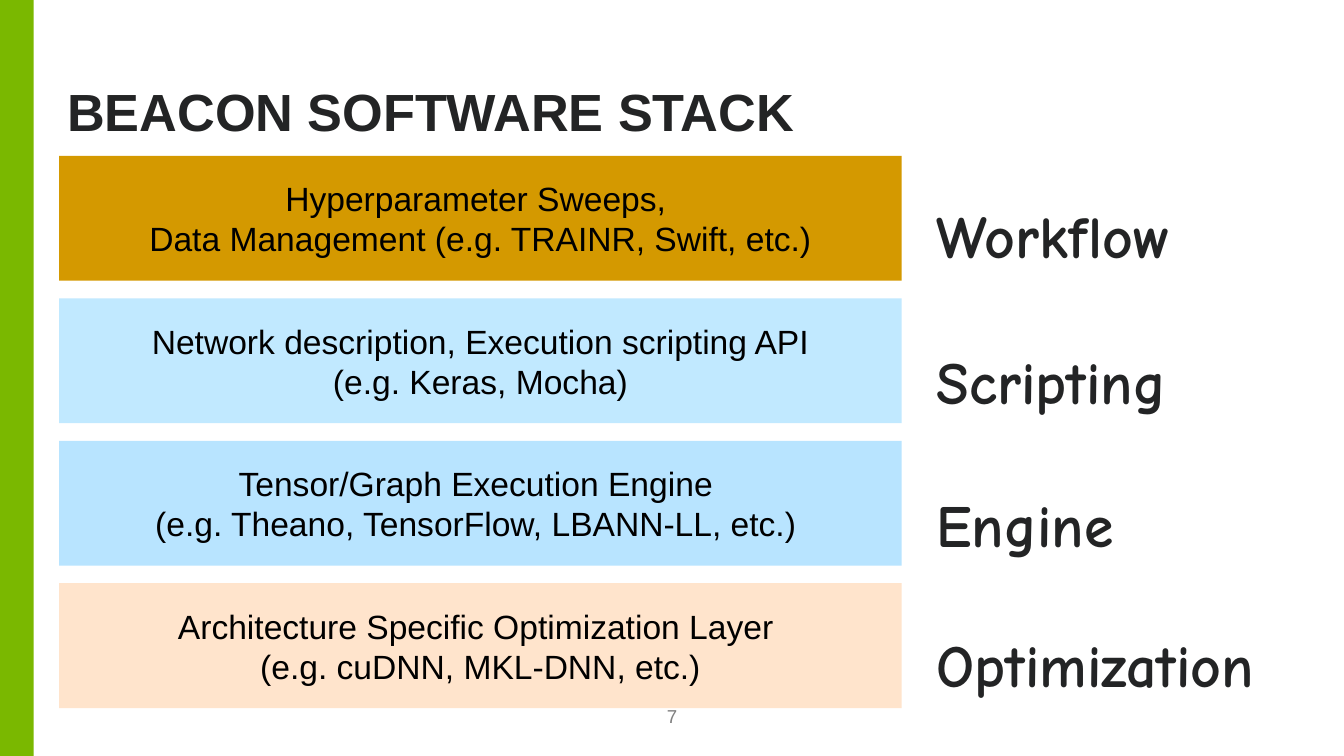
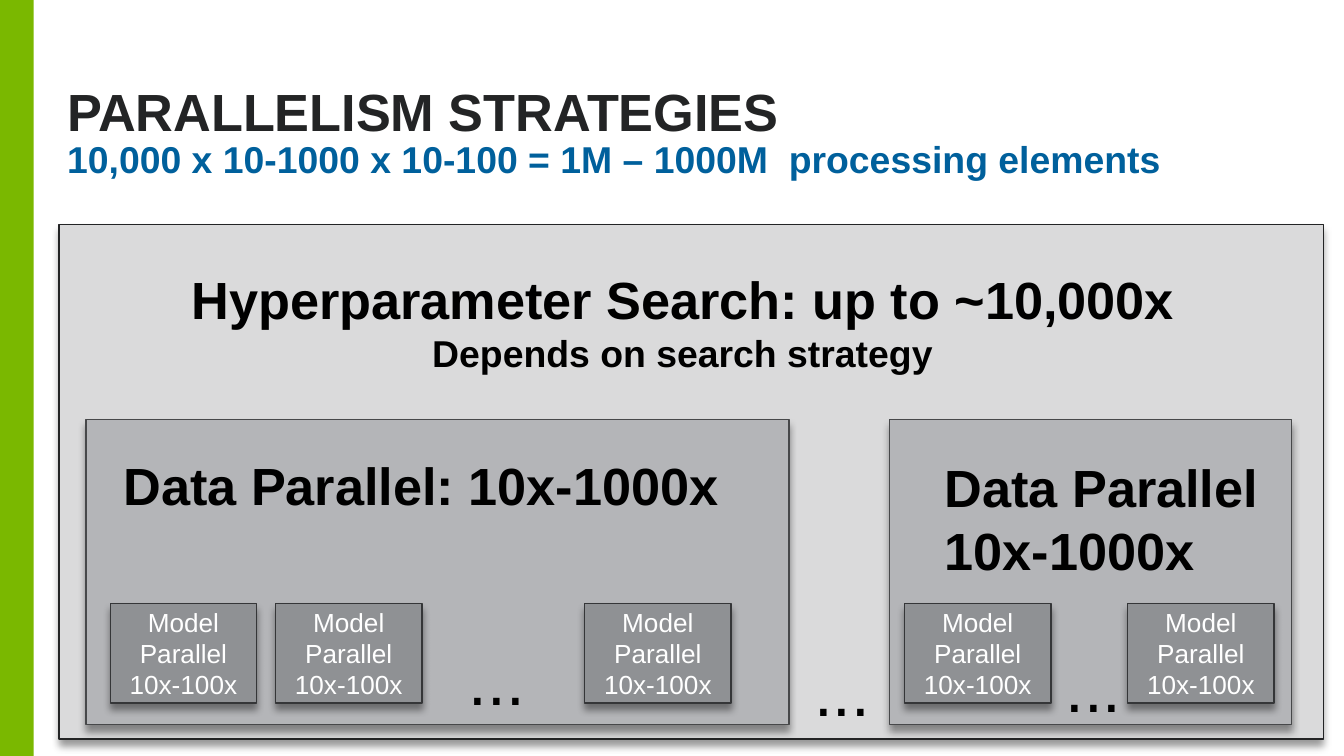
from lxml.etree import SubElement
from pptx import Presentation
from pptx.dml.color import RGBColor
from pptx.enum.shapes import MSO_SHAPE
from pptx.enum.text import MSO_ANCHOR, MSO_AUTO_SIZE, PP_ALIGN
from pptx.oxml.ns import qn
from pptx.util import Inches, Pt

GREEN = "7AB800"
INK = "232425"
BLUE = "00609C"
BLACK = "000000"
WHITE = "FFFFFF"
GREY = "808080"
BODY_FONT = "Arial"
LABEL_FONT = "Comic Neue"

# Fill and line of each nesting level of parallelism
SEARCH_STYLE = ("DADADB", INK)
DATA_STYLE = ("B4B5B8", "47484A")
MODEL_STYLE = ("8F9194", "353638")

# Text, fill, label, top and width of the label for each layer
LAYERS = [
    ("Hyperparameter Sweeps, \nData Management (e.g. TRAINR, Swift, etc.)",
     "D49900", "Workflow", 1.43, 2.21),
    ("Network description, Execution scripting API\n(e.g. Keras, Mocha)",
     "C1E9FF", "Scripting", 2.52, 2.14),
    ("Tensor/Graph Execution Engine \n(e.g. Theano, TensorFlow, LBANN-LL, etc.) ",
     "B8E4FF", "Engine", 3.58, 1.7),
    ("Architecture Specific Optimization Layer \n(e.g. cuDNN, MKL-DNN, etc.)",
     "FFE4CC", "Optimization", 4.62, 2.92),
]
LAYER_TOP, LAYER_PITCH = 1.16, 1.06


def color(hex_code):
    return RGBColor.from_string(hex_code)


def write(shape, text, size, hex_code, font=BODY_FONT, bold=False,
          align=PP_ALIGN.LEFT, spacing=None):
    frame = shape.text_frame
    frame.text = text
    for para in frame.paragraphs:
        para.alignment = align
        if spacing:
            para.line_spacing = spacing
        for span in para.runs:
            span.font.name = font
            span.font.size = Pt(size)
            span.font.bold = bold
            span.font.color.rgb = color(hex_code)


def add_block(slide, left, top, width, height, fill, line=None):
    block = slide.shapes.add_shape(MSO_SHAPE.RECTANGLE, Inches(left), Inches(top),
                                   Inches(width), Inches(height))
    block.shadow.inherit = False
    block.fill.solid()
    block.fill.fore_color.rgb = color(fill)
    if line:
        block.line.color.rgb = color(line)
        block.line.width = Pt(0.75)
    else:
        block.line.fill.background()
    block.text_frame.vertical_anchor = MSO_ANCHOR.MIDDLE
    return block


def add_raised_block(slide, left, top, width, height, style):
    """Add an outlined block with a soft shadow below it."""
    block = add_block(slide, left, top, width, height, *style)
    effects = block.element.spPr.find(qn("a:effectLst"))
    shadow = SubElement(effects, qn("a:outerShdw"), blurRad=str(Pt(4)),
                        dist=str(Pt(3.4)), dir="5400000", rotWithShape="0")
    tint = SubElement(shadow, qn("a:srgbClr"), val=BLACK)
    SubElement(tint, qn("a:alpha"), val="40000")
    return block


def add_text_box(slide, left, top, width, height):
    return slide.shapes.add_textbox(Inches(left), Inches(top),
                                    Inches(width), Inches(height))


def add_fixed_text(slide, left, top, width, height, text, size, hex_code,
                   anchor=MSO_ANCHOR.BOTTOM, bottom=0, **style):
    """Add wrapped text without side margins."""
    box = add_text_box(slide, left, top, width, height)
    frame = box.text_frame
    frame.word_wrap = True
    frame.vertical_anchor = anchor
    frame.margin_left = frame.margin_right = frame.margin_top = 0
    frame.margin_bottom = Inches(bottom)
    write(box, text, size, hex_code, **style)


def add_label(slide, left, top, width, height, text, size, hex_code=BLACK, **style):
    """Add unwrapped text whose box grows with it."""
    box = add_text_box(slide, left, top, width, height)
    box.text_frame.word_wrap = False
    box.text_frame.auto_size = MSO_AUTO_SIZE.SHAPE_TO_FIT_TEXT
    write(box, text, size, hex_code, **style)
    return box


def add_page(deck, title):
    page = deck.slides.add_slide(deck.slide_layouts[6])
    add_block(page, 0, 0, 0.25, deck.slide_height.inches, GREEN)
    add_fixed_text(page, 0.5, 0.39, 9.16, 0.68, title, 28, INK,
                   bold=True, spacing=0.95)
    return page


def add_data_group(page, left, width, model_lefts):
    """Add a data parallel block with its model parallel blocks."""
    add_raised_block(page, left, 3.12, width, 2.27, DATA_STYLE)
    for model_left in model_lefts:
        model = add_raised_block(page, model_left, 4.49, 1.09, 0.74, MODEL_STYLE)
        write(model, "Model\nParallel\n10x-100x", 14, WHITE, align=PP_ALIGN.CENTER)


def build_stack_page(deck):
    page = add_page(deck, "BEACON SOFTWARE STACK")
    for index, (text, fill, label, label_top, label_width) in enumerate(LAYERS):
        layer = add_block(page, 0.44, LAYER_TOP + index * LAYER_PITCH, 6.27, 0.93, fill)
        write(layer, text, 18, BLACK, align=PP_ALIGN.CENTER)
        add_label(page, 6.87, label_top, label_width, 0.64, label, 32, INK,
                  font=LABEL_FONT, bold=True)
    add_fixed_text(page, 4.75, 5.31, 0.5, 0.15, "7", 10, GREY, bottom=0.05,
                   align=PP_ALIGN.CENTER)


def build_parallelism_page(deck):
    page = add_page(deck, "PARALLELISM STRATEGIES")
    add_fixed_text(page, 0.5, 1.05, 9.16, 0.41,
                   "10,000 x 10-1000 x 10-100 = 1M – 1000M  processing elements",
                   20, BLUE, anchor=MSO_ANCHOR.TOP, bold=True, spacing=0.9)

    add_raised_block(page, 0.44, 1.67, 9.41, 3.83, SEARCH_STYLE)
    search = add_label(page, 1.28, 1.94, 7.6, 0.91,
                       "Hyperparameter Search: up to ~10,000x\nDepends on search strategy",
                       28, bold=True, align=PP_ALIGN.CENTER)
    search.text_frame.paragraphs[1].runs[0].font.size = Pt(20)

    add_data_group(page, 0.64, 5.23, [0.82, 2.05, 4.35])
    add_data_group(page, 6.62, 2.99, [6.73, 8.39])
    add_label(page, 0.82, 3.32, 4.69, 0.57, "Data Parallel: 10x-1000x", 28, bold=True)
    add_label(page, 6.93, 3.34, 2.78, 1.04, "Data Parallel\n10x-1000x", 28, bold=True)

    for left, top in [(3.39, 4.7), (5.96, 4.78), (7.83, 4.75)]:
        add_label(page, left, top, 0.62, 0.71, "...", 36)


def main():
    deck = Presentation()
    deck.slide_width = Inches(10)
    deck.slide_height = Inches(10) * 9 // 16
    build_stack_page(deck)
    build_parallelism_page(deck)
    deck.save("out.pptx")


if __name__ == "__main__":
    main()
